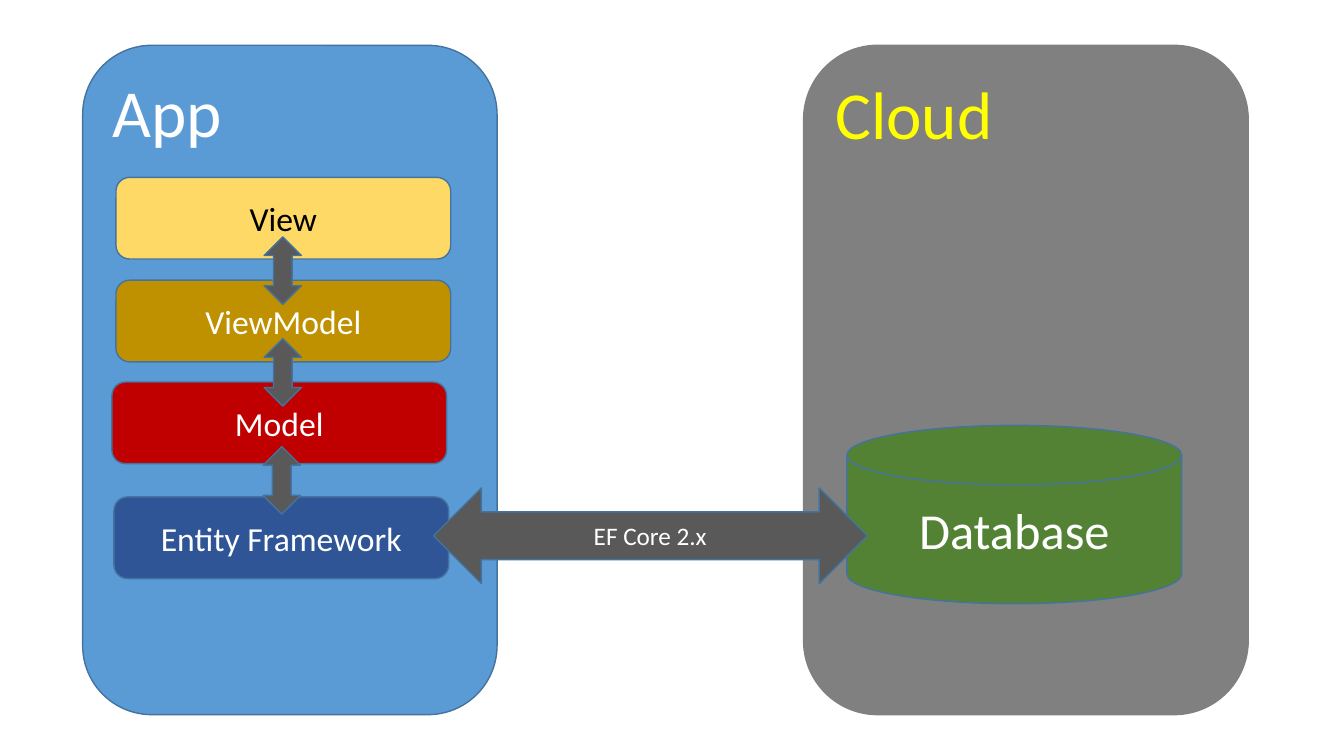
"""Build the app and cloud database architecture slide."""
import dataclasses
import typing

import pptx
import pptx.dml.color
import pptx.enum.shapes
import pptx.enum.text
import pptx.slide
import pptx.util

Shape = pptx.enum.shapes.MSO_SHAPE
Anchor = pptx.enum.text.MSO_ANCHOR
Align = pptx.enum.text.PP_ALIGN
Inches = pptx.util.Inches


@dataclasses.dataclass(frozen=True)
class Theme:
    font: str = "Calibri"
    outline: str = "43739E"
    arrow: str = "595959"
    app: str = "5B9BD5"
    cloud: str = "808080"
    database: str = "548235"
    view: str = "FFD966"
    view_model: str = "BF9000"
    model: str = "C00000"
    framework: str = "2F5597"
    light: str = "FFFFFF"
    dark: str = "000000"
    accent: str = "FFFF00"
    heading_size: int = 48
    database_size: int = 36
    layer_size: int = 24
    link_size: int = 18


THEME = Theme()


@dataclasses.dataclass(frozen=True)
class Block:
    kind: Shape
    left: float
    top: float
    width: float
    height: float
    fill: str
    text: str = ""
    size: int = THEME.layer_size
    color: str = THEME.light
    line: str = THEME.outline
    align: Align = Align.CENTER
    anchor: Anchor = Anchor.MIDDLE


class Layer(typing.NamedTuple):
    text: str
    left: float
    top: float
    fill: str
    color: str = THEME.light


class Position(typing.NamedTuple):
    left: float
    top: float


LAYERS = [
    Layer("Model", 1.11, 3.79, THEME.model),
    Layer("Entity Framework", 1.13, 4.93, THEME.framework),
    Layer("ViewModel", 1.15, 2.78, THEME.view_model),
    Layer("View", 1.15, 1.76, THEME.view, THEME.dark),
]
LAYER_ARROWS = [Position(2.62, 3.36), Position(2.62, 2.35), Position(2.61, 4.43)]


def panel(left: float, width: float, fill: str, text: str, color: str, line: str) -> Block:
    """Describe a tall panel with a heading at its top left."""
    return Block(Shape.ROUNDED_RECTANGLE, left, 0.45, width, 6.64, fill, text,
                 THEME.heading_size, color, line, Align.LEFT, Anchor.TOP)


def diagram_blocks() -> list[Block]:
    """List the blocks of the diagram from back to front."""
    return [
        panel(7.97, 4.41, THEME.cloud, "Cloud", THEME.accent, THEME.cloud),
        Block(Shape.FLOWCHART_MAGNETIC_DISK, 8.4, 4.22, 3.32, 1.77,
              THEME.database, "Database", THEME.database_size),
        panel(0.82, 4.11, THEME.app, "App", THEME.light, THEME.outline),
        *(Block(Shape.ROUNDED_RECTANGLE, layer.left, layer.top, 3.32, 0.81,
                layer.fill, layer.text, color=layer.color) for layer in LAYERS),
        *(Block(Shape.UP_DOWN_ARROW, arrow.left, arrow.top, 0.37, 0.67, THEME.arrow)
          for arrow in LAYER_ARROWS),
        Block(Shape.LEFT_RIGHT_ARROW, 4.3, 4.84, 4.3, 0.95, THEME.arrow,
              "EF Core 2.x", THEME.link_size),
    ]


def draw_block(page: pptx.slide.Slide, block: Block) -> None:
    """Draw one block and its label on the page."""
    box = page.shapes.add_shape(block.kind, Inches(block.left), Inches(block.top),
                                Inches(block.width), Inches(block.height))
    box.shadow.inherit = False
    box.fill.solid()
    box.fill.fore_color.rgb = pptx.dml.color.RGBColor.from_string(block.fill)
    box.line.color.rgb = pptx.dml.color.RGBColor.from_string(block.line)
    box.line.width = pptx.util.Pt(1)
    if not block.text:
        return
    frame = box.text_frame
    frame.word_wrap = True
    frame.vertical_anchor = block.anchor
    para = frame.paragraphs[0]
    para.text = block.text
    para.alignment = block.align
    para.font.name = THEME.font
    para.font.size = pptx.util.Pt(block.size)
    para.font.color.rgb = pptx.dml.color.RGBColor.from_string(block.color)


def main() -> None:
    """Create the deck, draw the diagram and save it."""
    deck = pptx.Presentation()
    deck.slide_width, deck.slide_height = Inches(13.33), Inches(7.5)
    page = deck.slides.add_slide(deck.slide_layouts.get_by_name("Blank"))
    for block in diagram_blocks():
        draw_block(page, block)
    deck.save("out.pptx")


if __name__ == "__main__":
    main()
